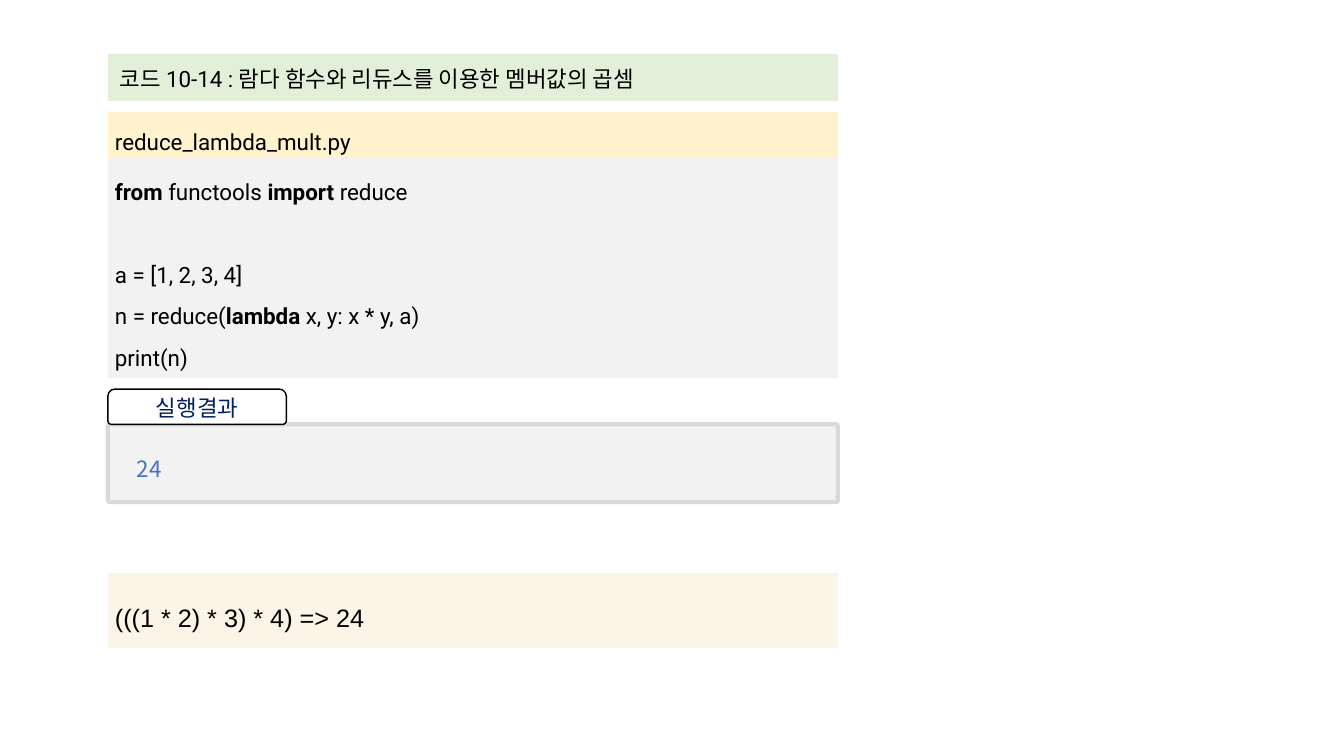
from pptx import Presentation
from pptx.dml.color import RGBColor
from pptx.enum.shapes import MSO_SHAPE
from pptx.enum.text import MSO_ANCHOR, PP_ALIGN
from pptx.oxml.ns import qn
from pptx.util import Inches, Pt

ROUNDED = MSO_SHAPE.ROUNDED_RECTANGLE
ROUNDED_TOP = MSO_SHAPE.ROUND_2_SAME_RECTANGLE
MIDDLE = MSO_ANCHOR.MIDDLE
LEFT, CENTER, JUSTIFY = PP_ALIGN.LEFT, PP_ALIGN.CENTER, PP_ALIGN.JUSTIFY

BLACK = "000000"
PANEL_GRAY = "F2F2F2"
KOREAN_FONT = "Noto Sans CJK KR"
CODE_FONT = "Roboto"
NO_TABLE_STYLE = "{2D5ABB26-0587-4C30-8999-92F81FD0307C}"
PANEL_LEFT, PANEL_WIDTH = 1.07, 7.24
LINE_SPACING = 1.6
CODE_LINE_PITCH = 29.6

# Each code line is a list of (text, bold) parts
IMPORT_LINE = [("from ", True), ("functools ", False), ("import", True), (" reduce", False)]
BODY_LINES = [
    [("a = [1, 2, 3, 4]", False)],
    [("n = reduce(", False), ("lambda", True), (" x, y: x * y, a)", False)],
    [("print(n)", False)],
]


def color(hex_value):
    return RGBColor.from_string(hex_value)


def format_run(run, size, font, hex_value, bold=False):
    run.font.size = Pt(size)
    run.font.name = font
    run.font.bold = bold
    run.font.color.rgb = color(hex_value)
    east_asian = run.font._element.makeelement(qn("a:ea"), {"typeface": KOREAN_FONT})
    run.font._element.find(qn("a:latin")).addnext(east_asian)


def write_line(paragraph, parts, size=16, font=CODE_FONT, hex_value=BLACK,
               align=JUSTIFY, spacing=LINE_SPACING):
    paragraph.alignment = align
    paragraph.line_spacing = spacing
    for text, bold in parts:
        run = paragraph.add_run()
        run.text = text
        format_run(run, size, font, hex_value, bold)


def add_panel_table(slide, top, row_heights):
    frame = slide.shapes.add_table(
        len(row_heights), 1, Inches(PANEL_LEFT), Inches(top),
        Inches(PANEL_WIDTH), Inches(sum(row_heights)))
    table = frame.table
    table.first_row = table.horz_banding = False
    table._tbl.tblPr.find(qn("a:tableStyleId")).text = NO_TABLE_STYLE
    for row, height in zip(table.rows, row_heights):
        row.height = Inches(height)
    return table


def prepare_cell(cell, fill):
    cell.fill.solid()
    cell.fill.fore_color.rgb = color(fill)
    cell.vertical_anchor = MIDDLE
    cell.margin_left = cell.margin_right = Inches(0.07)
    cell.margin_top = cell.margin_bottom = Inches(0.02)
    return cell.text_frame


def clear_spacer(cell):
    cell.fill.background()
    cell.margin_top = cell.margin_bottom = Inches(0)
    end_format = cell.text_frame.paragraphs[0]._p.get_or_add_endParaRPr()
    end_format.set("sz", "400")


def add_box(group, preset, box, fill, line, line_width, corners):
    shape = group.shapes.add_shape(preset, *(Inches(length) for length in box))
    shape.shadow.inherit = False
    shape.fill.solid()
    shape.fill.fore_color.rgb = color(fill)
    shape.line.color.rgb = color(line)
    shape.line.width = Pt(line_width)
    for index, corner in enumerate(corners):
        shape.adjustments[index] = corner
    return shape


def add_code_listing(slide):
    table = add_panel_table(slide, 0.54, [0.46, 0.11, 0.31, 2.19])
    heading, spacer, file_name, code = (table.cell(row, 0) for row in range(4))

    heading_text = prepare_cell(heading, "E2F0D9")
    write_line(heading_text.paragraphs[0],
               [(" 코드 10-14 : 람다 함수와 리듀스를 이용한 멤버값의 곱셈", False)],
               align=LEFT, spacing=1.0)
    clear_spacer(spacer)
    file_text = prepare_cell(file_name, "FFF2CC")
    write_line(file_text.paragraphs[0], [("reduce_lambda_mult.py", False)])

    code_text = prepare_cell(code, PANEL_GRAY)
    write_line(code_text.paragraphs[0], IMPORT_LINE)
    for line in BODY_LINES:
        write_line(code_text.add_paragraph(), line)
    # One line of space separates the import from the body
    code_text.paragraphs[1].space_before = Pt(CODE_LINE_PITCH)


def add_result(slide):
    group = slide.shapes.add_group_shape()
    add_box(group, ROUNDED, (PANEL_LEFT, 4.21, PANEL_WIDTH, 0.77),
            PANEL_GRAY, "D9D9D9", 3, [0.023])
    tab = add_box(group, ROUNDED_TOP, (PANEL_LEFT, 3.86, 1.77, 0.35),
                  "FFFFFF", BLACK, 1, [0.2, 0.1])
    tab.text_frame.vertical_anchor = MIDDLE
    write_line(tab.text_frame.paragraphs[0], [("실행결과", False)],
               font=KOREAN_FONT, hex_value="002060", align=CENTER, spacing=1.0)

    output = group.shapes.add_textbox(Inches(1.26), Inches(4.33), Inches(6.59), Inches(0.45))
    output.text_frame.word_wrap = True
    write_line(output.text_frame.paragraphs[0], [("24", False)],
               font=KOREAN_FONT, hex_value="4472C4", align=LEFT, spacing=1.5)


def add_evaluation(slide):
    table = add_panel_table(slide, 5.68, [0.75])
    evaluation_text = prepare_cell(table.cell(0, 0), "FCF5E7")
    write_line(evaluation_text.paragraphs[0], [("(((1 * 2) * 3) * 4) => 24", False)],
               size=18, font="Arial")


def main():
    presentation = Presentation()
    presentation.slide_width = Inches(13.33)
    presentation.slide_height = Inches(7.5)
    slide = presentation.slides.add_slide(presentation.slide_layouts[6])
    add_code_listing(slide)
    add_result(slide)
    add_evaluation(slide)
    presentation.save("out.pptx")


if __name__ == "__main__":
    main()
